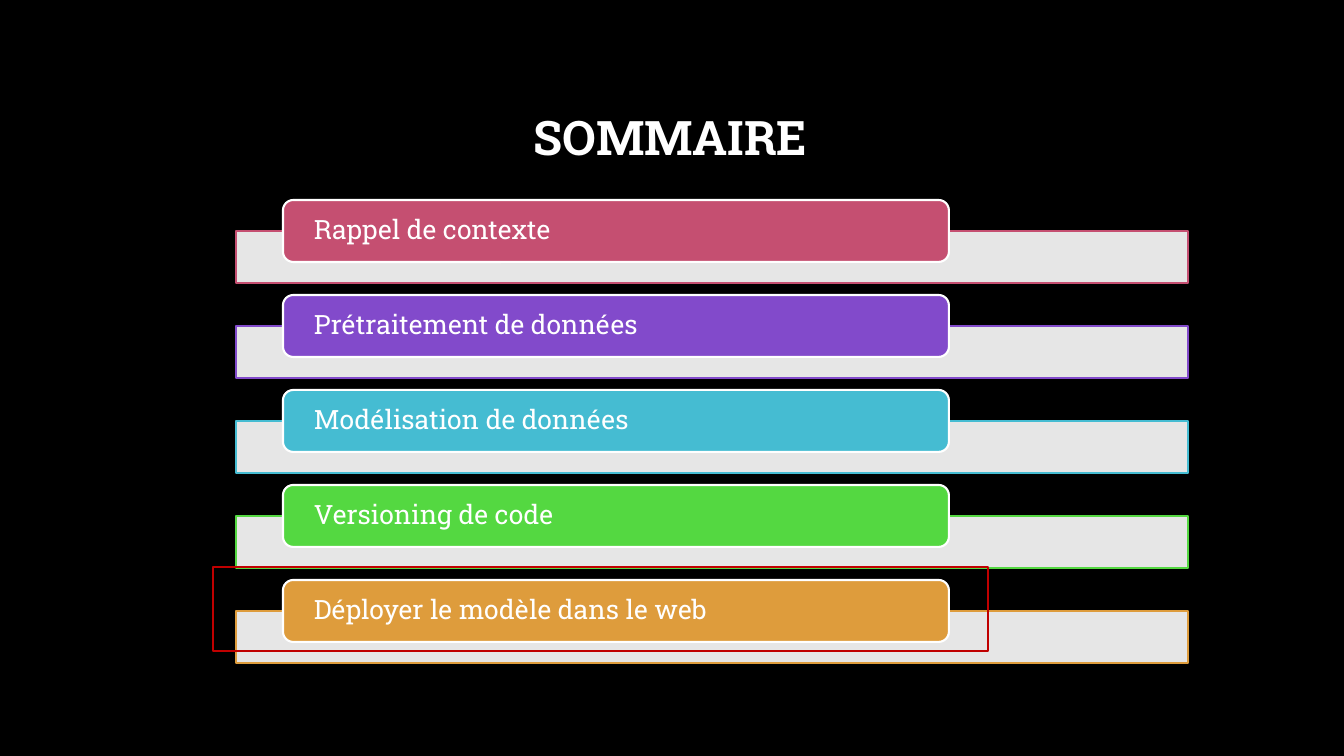
from dataclasses import dataclass

from lxml import etree
from pptx import Presentation
from pptx.dml.color import RGBColor
from pptx.enum.shapes import MSO_SHAPE
from pptx.enum.text import MSO_ANCHOR, PP_ALIGN
from pptx.oxml.ns import qn
from pptx.util import Emu, Pt

RECTANGLE = MSO_SHAPE.RECTANGLE
ROUNDED = MSO_SHAPE.ROUNDED_RECTANGLE
MIDDLE = MSO_ANCHOR.MIDDLE
LEFT, CENTER = PP_ALIGN.LEFT, PP_ALIGN.CENTER

EMU_PER_PX = 914400 / 100.8
BLANK_LAYOUT = 6


@dataclass(frozen=True)
class Theme:
    font: str = "Roboto Slab"
    background: str = "000000"
    light: str = "FFFFFF"
    highlight: str = "C00000"
    title_size: int = 34
    item_size: int = 19
    line_width: float = 1.5
    bar_opacity: int = 90


THEME = Theme()

AGENDA = [
    ("Rappel de contexte", "C54F71"),
    ("Prétraitement de données", "824ACB"),
    ("Modélisation de données", "45BCD2"),
    ("Versioning de code", "54D841"),
    ("Déployer le modèle dans le web", "DE9C3C"),
]
FIRST_TAB_TOP = 200
ITEM_PITCH = 95
BAR_OFFSET = 31


def px(length):
    return Emu(round(length * EMU_PER_PX))


def rgb(color):
    return RGBColor.from_string(color)


def apply_format(target, values):
    for name, value in values.items():
        setattr(target, name, value)


def write_text(box, text, size, align, inset, bold=False):
    """Put one formatted line of text in a box."""
    frame = box.text_frame
    apply_format(frame, {
        "word_wrap": True, "vertical_anchor": MIDDLE,
        "margin_left": px(inset), "margin_right": px(inset),
        "margin_top": 0, "margin_bottom": 0,
    })
    para = frame.paragraphs[0]
    apply_format(para, {"alignment": align, "line_spacing": 0.9})
    span = para.add_run()
    span.text = text
    apply_format(span.font, {"name": THEME.font, "size": Pt(size), "bold": bold})
    span.font.color.rgb = rgb(THEME.light)


def add_box(page, kind, bounds, line_color, fill_color=None, opacity=100):
    """Draw an outlined shape, left open when it has no fill colour."""
    box = page.shapes.add_shape(kind, *map(px, bounds))
    box.shadow.inherit = False
    box.line.color.rgb = rgb(line_color)
    box.line.width = Pt(THEME.line_width)
    if fill_color is None:
        box.fill.background()
        return box
    box.fill.solid()
    box.fill.fore_color.rgb = rgb(fill_color)
    if opacity < 100:
        color = box.fill._xPr.find(qn("a:solidFill"))[0]
        etree.SubElement(color, qn("a:alpha"), val=str(opacity * 1000))
    return box


def add_title(page, text, bounds):
    box = page.shapes.add_textbox(*map(px, bounds))
    write_text(box, text, THEME.title_size, CENTER, 10, bold=True)


def add_agenda_item(page, text, color, top):
    """Draw a pale bar with a coloured, labelled tab over it."""
    add_box(page, RECTANGLE, (236, top + BAR_OFFSET, 952, 52), color,
            THEME.light, THEME.bar_opacity)
    tab = add_box(page, ROUNDED, (283, top, 666, 62), THEME.light, color)
    write_text(tab, text, THEME.item_size, LEFT, 28)


def main():
    deck = Presentation()
    deck.slide_width, deck.slide_height = px(1344), px(756)
    page = deck.slides.add_slide(deck.slide_layouts[BLANK_LAYOUT])
    page.background.fill.solid()
    page.background.fill.fore_color.rgb = rgb(THEME.background)

    # Title
    add_title(page, "SOMMAIRE", (100, 67, 1141, 146))

    # Agenda
    for index, (text, color) in enumerate(AGENDA):
        add_agenda_item(page, text, color, FIRST_TAB_TOP + index * ITEM_PITCH)

    # Frame around the current item
    add_box(page, RECTANGLE, (213, 567, 775, 84), THEME.highlight)

    deck.save("out.pptx")


if __name__ == "__main__":
    main()
